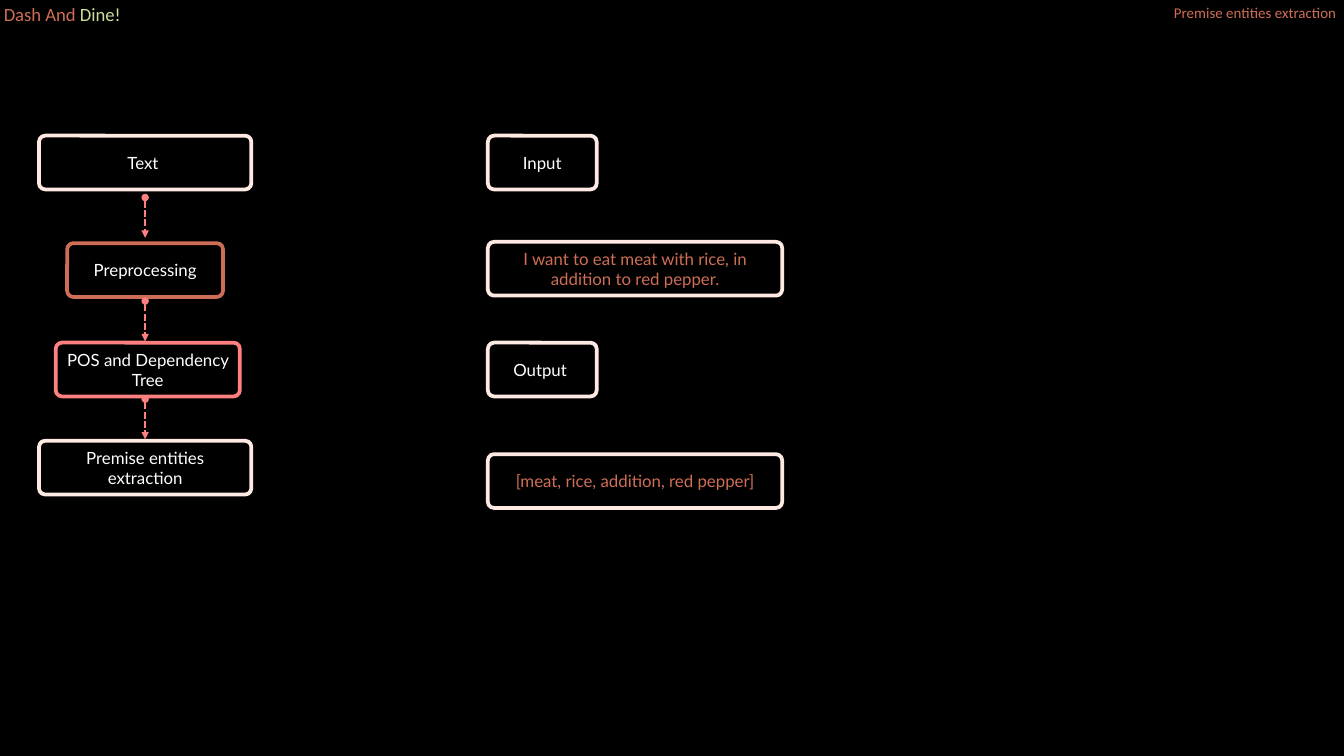
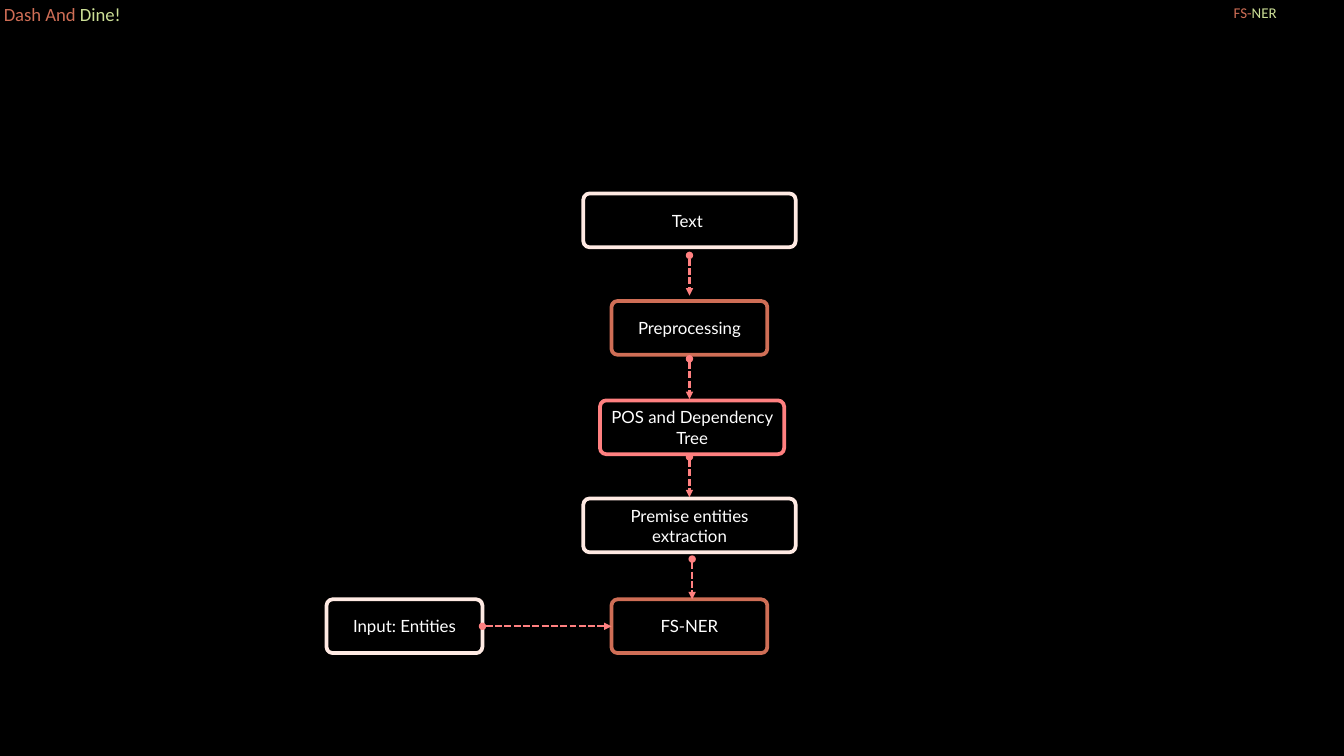
from lxml.etree import SubElement
from pptx import Presentation
from pptx.dml.color import RGBColor
from pptx.enum.dml import MSO_LINE
from pptx.enum.shapes import MSO_CONNECTOR, MSO_SHAPE
from pptx.enum.text import MSO_ANCHOR, MSO_AUTO_SIZE, PP_ALIGN
from pptx.oxml.ns import qn
from pptx.util import Inches, Pt

# Page, 16 by 9
PAGE_W = Inches(10)
PAGE_H = PAGE_W * 9 // 16

# Colours
BLACK = RGBColor(0x00, 0x00, 0x00)
WHITE = RGBColor(0xFF, 0xFF, 0xFF)
CREAM = RGBColor(0xFF, 0xEA, 0xE3)
RUST = RGBColor(0xCF, 0x6E, 0x56)
CORAL = RGBColor(0xFF, 0x80, 0x80)
LIME = RGBColor(0xCC, 0xDF, 0x96)

# Format values
HEAD_FRAME = {
    "margin_left": Inches(0.1), "margin_right": Inches(0.1),
    "margin_top": Inches(0.1), "margin_bottom": Inches(0.1),
    "word_wrap": True, "auto_size": MSO_AUTO_SIZE.NONE,
    "vertical_anchor": MSO_ANCHOR.TOP,
}
BOX_FRAME = {
    "margin_left": Inches(0.06), "margin_right": Inches(0.06),
    "margin_top": Inches(0.03), "margin_bottom": Inches(0.03),
    "word_wrap": True, "vertical_anchor": MSO_ANCHOR.MIDDLE,
}
BRAND_FONT = {"name": "Calibri", "size": Pt(10)}
TITLE_FONT = {"name": "Calibri", "size": Pt(8)}
BOX_FONT = {"name": "Lato", "size": Pt(9)}
ARROW_LINE = {"width": Pt(1.25), "dash_style": MSO_LINE.SQUARE_DOT}

# Flow chart: label, line colour, width, shift from the axis, drop from the top
BOX_H = 0.4
STEPS = [
    ("Text ", CREAM, 1.58, 0, 0),
    ("Preprocessing", RUST, 1.16, 0, 0.8),
    ("POS and Dependency Tree", CORAL, 1.37, 0.02, 1.54),
    ("Premise entities extraction", CREAM, 1.58, 0, 2.27),
]
ARROW_H = 0.3
ARROW_DROPS = (0.46, 1.23, 1.96)


def assign(item, values):
    for key, value in values.items():
        setattr(item, key, value)


def write(shape, runs, frame, font, align):
    """Fill a shape with one paragraph of (text, colour) runs."""
    assign(shape.text_frame, frame)
    para = shape.text_frame.paragraphs[0]
    para.alignment = align
    for text, color in runs:
        run = para.add_run()
        run.text = text
        assign(run.font, font)
        run.font.color.rgb = color


def add_page(prs, title):
    slide = prs.slides.add_slide(prs.slide_layouts[5])
    brand = slide.shapes.add_textbox(
        Inches(-0.07), Inches(-0.08), Inches(1.43), Inches(0.27))
    write(brand, [("Dash And ", RUST), ("Dine!", LIME)],
          HEAD_FRAME, BRAND_FONT, PP_ALIGN.LEFT)
    head = slide.shapes.title
    assign(head, {"left": Inches(8.61), "top": Inches(-0.07),
                  "width": Inches(1.46), "height": Inches(0.23)})
    write(head, title, HEAD_FRAME, TITLE_FONT, PP_ALIGN.CENTER)
    return slide


def add_box(slide, text, left, top, width, edge=CREAM, ink=WHITE):
    box = slide.shapes.add_shape(
        MSO_SHAPE.ROUNDED_RECTANGLE,
        Inches(left), Inches(top), Inches(width), Inches(BOX_H))
    box.adjustments[0] = 0.115
    box.shadow.inherit = False
    box.fill.background()
    box.line.color.rgb = edge
    box.line.width = Pt(2)
    write(box, [(text, ink)], BOX_FRAME, BOX_FONT, PP_ALIGN.CENTER)


def add_arrow(slide, x1, y1, x2, y2):
    arrow = slide.shapes.add_connector(
        MSO_CONNECTOR.STRAIGHT,
        Inches(x1), Inches(y1), Inches(x2), Inches(y2))
    arrow.line.color.rgb = CORAL
    assign(arrow.line, ARROW_LINE)
    props = arrow.element.spPr
    line = props.find(qn("a:ln"))
    for end, kind in (("a:headEnd", "oval"), ("a:tailEnd", "triangle")):
        SubElement(line, qn(end), type=kind, w="sm", len="sm")
    SubElement(props, qn("a:effectLst"))


def add_flow(slide, axis, top):
    for text, edge, width, shift, drop in STEPS:
        add_box(slide, text, axis + shift - width / 2, top + drop, width, edge)
    for drop in ARROW_DROPS:
        add_arrow(slide, axis, top + drop, axis, top + drop + ARROW_H)


def build_premise(prs):
    slide = add_page(prs, [("Premise entities extraction", RUST)])
    add_flow(slide, 1.08, 1.01)
    # Example input and output
    for text, top, width, ink in (
        ("Input", 1.01, 0.81, WHITE),
        ("I want to eat meat with rice, in addition to red pepper.",
         1.8, 2.19, RUST),
        ("Output ", 2.55, 0.81, WHITE),
        ("[meat, rice, addition, red pepper]", 3.38, 2.19, RUST),
    ):
        add_box(slide, text, 3.63, top, width, ink=ink)


def build_ner(prs):
    slide = add_page(prs, [("FS-", RUST), ("NER", LIME)])
    add_flow(slide, 5.13, 1.44)
    # Last step with its second input
    top, width = 4.46, 1.16
    mid = top + BOX_H / 2
    add_box(slide, "FS-NER", 4.55, top, width, RUST)
    add_box(slide, "Input: Entities", 2.43, top, width)
    add_arrow(slide, 5.15, top - ARROW_H, 5.15, top)
    add_arrow(slide, 2.43 + width, mid, 4.55, mid)


def main():
    prs = Presentation()
    assign(prs, {"slide_width": PAGE_W, "slide_height": PAGE_H})
    fill = prs.slide_master.background.fill
    fill.solid()
    fill.fore_color.rgb = BLACK
    build_premise(prs)
    build_ner(prs)
    prs.save("out.pptx")


if __name__ == "__main__":
    main()
